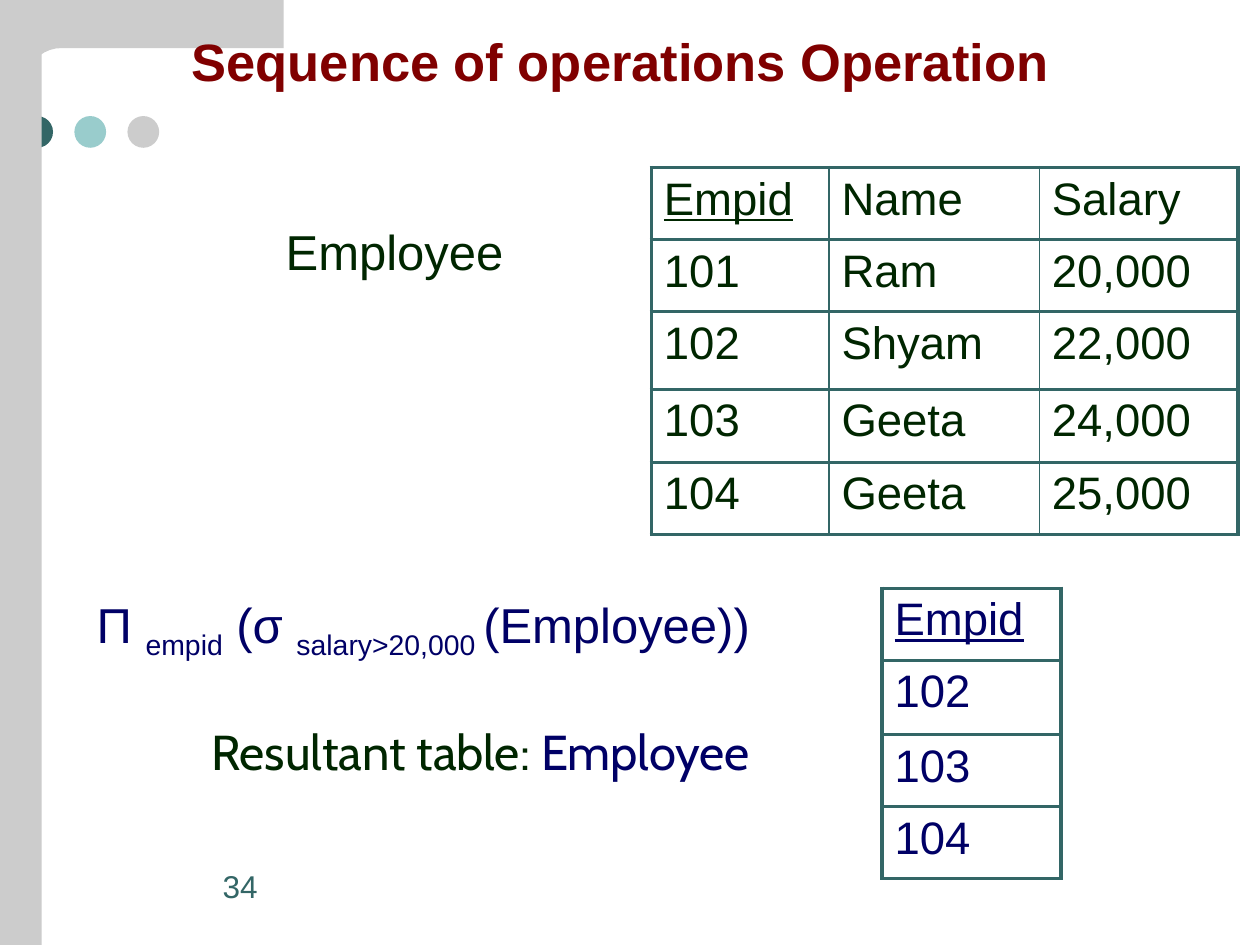
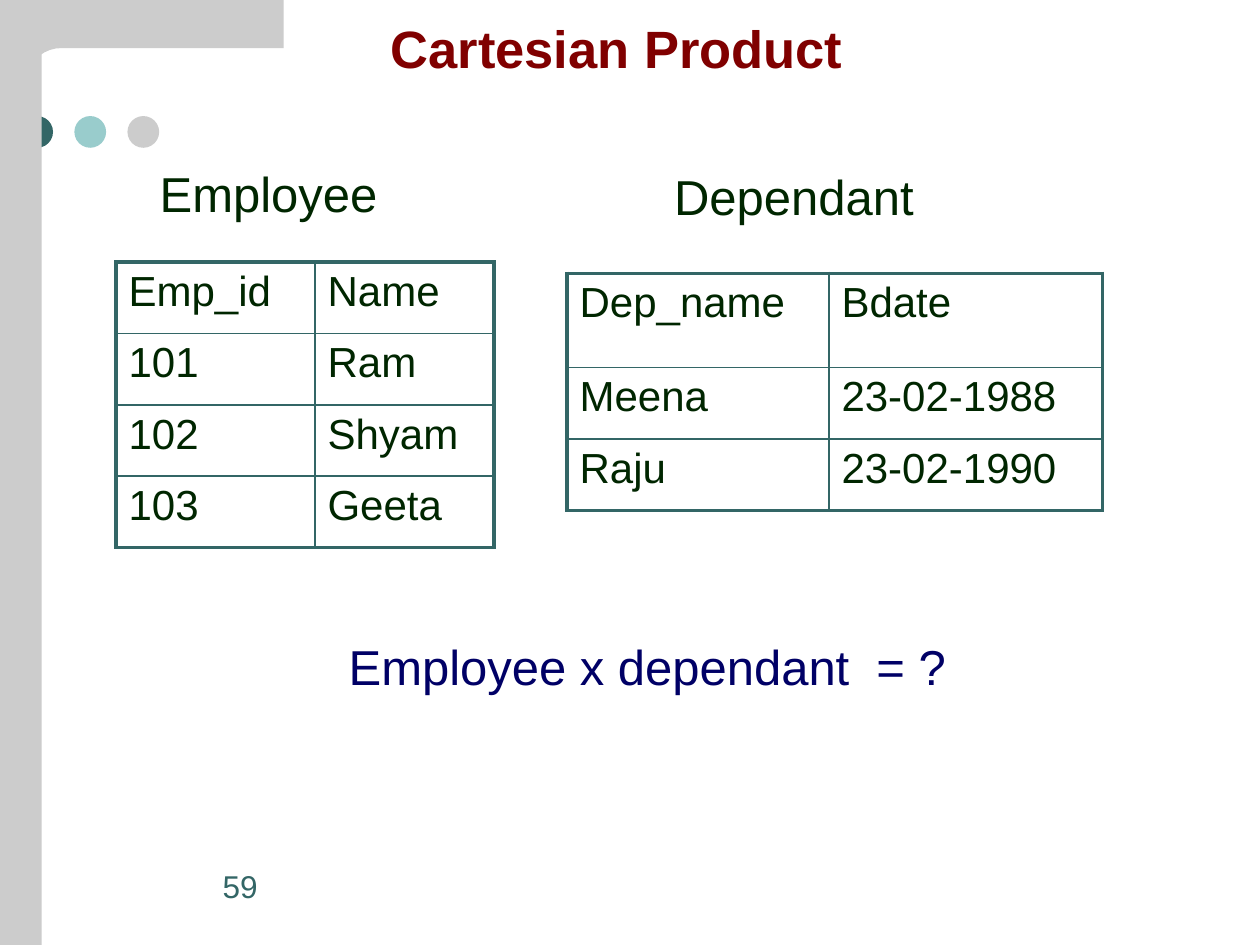
"""Build two slides on relational algebra: a sequence of operations and a Cartesian product."""
from dataclasses import dataclass
from math import cos, pi, sin

from lxml import etree
from pptx import Presentation
from pptx.dml.color import RGBColor
from pptx.enum.shapes import MSO_SHAPE
from pptx.enum.text import MSO_ANCHOR, MSO_AUTO_SIZE, PP_ALIGN
from pptx.oxml.ns import qn
from pptx.util import Cm, Pt

OVAL, RECTANGLE = MSO_SHAPE.OVAL, MSO_SHAPE.RECTANGLE
MIDDLE, LEFT, NO_AUTOFIT = MSO_ANCHOR.MIDDLE, PP_ALIGN.LEFT, MSO_AUTO_SIZE.NONE
TITLE_ONLY = 5
PAGE_WIDTH, PAGE_HEIGHT = 25.4, 19.05
LINE_HEIGHT = 1.45


@dataclass(frozen=True)
class Theme:
    font: str = "Arial"
    result_font: str = "Cabin"
    title: str = "800000"
    ink: str = "002600"
    query: str = "000066"
    teal: str = "336666"
    aqua: str = "99CCCC"
    grey: str = "CCCCCC"
    title_size: int = 30
    label_size: int = 28
    key_table_size: int = 26
    table_size: int = 24
    number_size: int = 18
    thick: float = 2.25
    thin: float = 1


class SlideBuilder:
    def __init__(self, theme):
        self.theme = theme
        self.deck = Presentation()
        self.deck.slide_width, self.deck.slide_height = Cm(PAGE_WIDTH), Cm(PAGE_HEIGHT)
        self.layout = self.deck.slide_layouts[TITLE_ONLY]
        self.page = None

    def start_page(self, title, number, left, top, width, height):
        self.page = self.deck.slides.add_slide(self.layout)
        if len(self.deck.slides) == 1:
            self.decorate_layout()
        box = self.page.shapes.title
        box.left, box.top, box.width, box.height = map(Cm, (left, top, width, height))
        frame = box.text_frame
        frame.text = title
        frame.auto_size = NO_AUTOFIT
        frame.vertical_anchor = MIDDLE
        para = frame.paragraphs[0]
        para.alignment = LEFT
        self.style(para.runs[0], self.theme.title_size, self.theme.title, bold=True)
        self.text([(number, self.theme.teal)], 4.24, 17.35, 3.61, self.theme.number_size)

    def decorate_layout(self):
        theme = self.theme
        dots = [self.shape(OVAL, 0.43 + 1.07 * index, 2.34, 0.64, 0.64, color)
                for index, color in enumerate((theme.teal, theme.aqua, theme.grey))]
        side_band = self.shape(RECTANGLE, 0, 0, 0.84, PAGE_HEIGHT, theme.grey)
        tree = self.layout.shapes._spTree
        for position, item in enumerate([*dots, side_band, self.corner_band()], start=2):
            tree.insert(position, item._element)

    def corner_band(self):
        width, depth, foot = 5.72, 0.97, 1.47
        curve_x, radius_x = 1.24, 0.61
        angles = [pi / 2 * step / 8 for step in range(9)]
        curve = [(curve_x - radius_x * sin(angle), foot - (foot - depth) * cos(angle))
                 for angle in angles]
        points = [(width, depth), *curve, (0, foot), (0, 0)]
        builder = self.page.shapes.build_freeform(Cm(width), 0)
        builder.add_line_segments([(Cm(x), Cm(y)) for x, y in points], close=True)
        return self.paint(builder.convert_to_shape(), self.theme.grey)

    def shape(self, kind, left, top, width, height, color):
        item = self.page.shapes.add_shape(kind, *map(Cm, (left, top, width, height)))
        return self.paint(item, color)

    def paint(self, item, color):
        item.shadow.inherit = False
        item.fill.solid()
        item.fill.fore_color.rgb = RGBColor.from_string(color)
        item.line.fill.background()
        return item

    def style(self, span, size, color, font=None, bold=False, underline=False):
        span.font.name = font or self.theme.font
        span.font.size = Pt(size)
        span.font.color.rgb = RGBColor.from_string(color)
        span.font.bold = bold
        span.font.underline = underline

    def text(self, pieces, left, top, width, size=None, font=None, subscripts=()):
        box = self.page.shapes.add_textbox(*map(Cm, (left, top, width, LINE_HEIGHT)))
        box.text_frame.word_wrap = True
        para = box.text_frame.paragraphs[0]
        for index, (words, color) in enumerate(pieces):
            span = para.add_run()
            span.text = words
            self.style(span, size or self.theme.label_size, color, font)
            if index in subscripts:
                span._r.get_or_add_rPr().set("baseline", "-25000")

    def table(self, rows, left, top, columns, heights, size, color, row_line, key=None):
        theme = self.theme
        frame = self.page.shapes.add_table(
            len(rows), len(columns), Cm(left), Cm(top), Cm(sum(columns)), Cm(sum(heights)))
        grid = frame.table
        grid.first_row = grid.horz_banding = False
        for column, width in zip(grid.columns, columns):
            column.width = Cm(width)
        for row, height in zip(grid.rows, heights):
            row.height = Cm(height)
        last_row, last_column = len(rows) - 1, len(columns) - 1
        for y, values in enumerate(rows):
            for x, value in enumerate(values):
                cell = grid.cell(y, x)
                self.border(cell, {
                    "L": theme.thick if x == 0 else theme.thin,
                    "R": theme.thick if x == last_column else theme.thin,
                    "T": theme.thick if y == 0 else row_line,
                    "B": theme.thick if y == last_row else row_line,
                })
                cell.fill.background()
                cell.text_frame.text = value
                span = cell.text_frame.paragraphs[0].runs[0]
                self.style(span, size, color, underline=value == key)

    def border(self, cell, widths):
        properties = cell._tc.get_or_add_tcPr()
        for side, width in widths.items():
            line = etree.SubElement(properties, qn(f"a:ln{side}"), w=str(Pt(width)))
            fill = etree.SubElement(line, qn("a:solidFill"))
            etree.SubElement(fill, qn("a:srgbClr"), val=self.theme.teal)


def add_sequence_page(builder):
    theme = builder.theme
    builder.start_page("Sequence of operations Operation", "34", 3.61, 0.53, 19.05, 1.37)
    employees = [("Empid", "Name", "Salary"), ("101", "Ram", "20,000"),
                 ("102", "Shyam", "22,000"), ("103", "Geeta", "24,000"),
                 ("104", "Geeta", "25,000")]
    builder.table(employees, 13.13, 3.38, (3.58, 4.24, 4.01), (1.45, 1.45, 1.57, 1.47, 1.45),
                  theme.key_table_size, theme.ink, theme.thick, key="Empid")
    builder.text([("Employee", theme.ink)], 5.51, 4.34, 5.72)
    builder.table([("Empid",), ("102",), ("103",), ("104",)], 17.78, 11.86, (3.61,),
                  (1.45, 1.5, 1.45, 1.45), theme.key_table_size, theme.query,
                  theme.thick, key="Empid")
    builder.text([("Resultant table: ", theme.ink), ("Employee", theme.query)],
                 4.01, 14.43, 12.7, font=theme.result_font)
    formula = ("Π ", "empid", " (σ ", "salary>20,000 ", "(Employee))")
    builder.text([(part, theme.query) for part in formula], 1.7, 11.86, 15.44,
                 subscripts=(1, 3))


def add_product_page(builder):
    theme = builder.theme
    builder.start_page("Cartesian Product", "59", 7.62, 0.2, 12.7, 1.52)
    builder.text([("Employee", theme.ink)], 2.97, 3.18, 6.71)
    builder.text([("Dependant", theme.ink)], 13.34, 3.23, 6.71)
    employees = [("Emp_id", "Name"), ("101", "Ram"), ("102", "Shyam"), ("103", "Geeta")]
    builder.table(employees, 2.34, 5.28, (4.01, 3.61), [1.44] * 4,
                  theme.table_size, theme.ink, theme.thin)
    dependants = [("Dep_name", "Bdate"), ("Meena", "23-02-1988"), ("Raju", "23-02-1990")]
    builder.table(dependants, 11.43, 5.51, (5.28, 5.51), (1.9, 1.44, 1.44),
                  theme.table_size, theme.ink, theme.thin)
    builder.text([("Employee х dependant  = ?", theme.query)], 6.78, 12.7, 13.54)


def main():
    builder = SlideBuilder(Theme())
    add_sequence_page(builder)
    add_product_page(builder)
    builder.deck.save("out.pptx")


if __name__ == "__main__":
    main()
